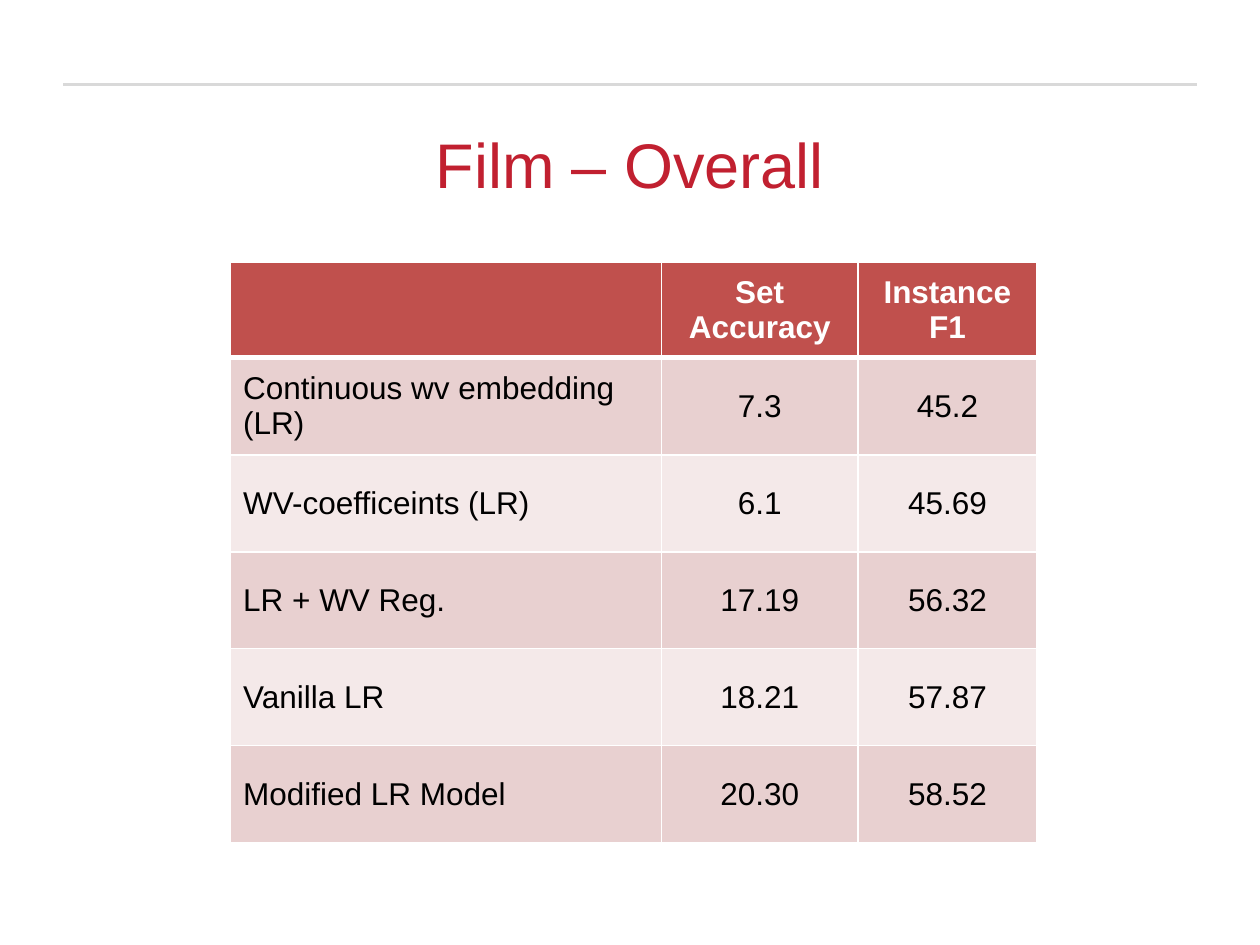
from typing import NamedTuple

from lxml.etree import SubElement
from pptx import Presentation
from pptx.dml.color import RGBColor
from pptx.enum.shapes import MSO_CONNECTOR
from pptx.enum.text import MSO_ANCHOR, PP_ALIGN
from pptx.oxml.ns import qn
from pptx.util import Inches, Pt

FONT = "Arial"
WHITE = RGBColor(0xFF, 0xFF, 0xFF)
BLACK = RGBColor(0x00, 0x00, 0x00)
RULE_GRAY = RGBColor(0xD9, 0xD9, 0xD9)
TITLE_RED = RGBColor(0xC1, 0x20, 0x30)
HEADER_RED = RGBColor(0xC0, 0x50, 0x4D)
BANDS = (RGBColor(0xE8, 0xD0, 0xD0), RGBColor(0xF4, 0xE9, 0xE9))


class Result(NamedTuple):
    model: str
    set_accuracy: str
    instance_f1: str


HEADER = Result("", "Set Accuracy", "Instance F1")
RESULTS = [
    Result("Continuous wv embedding (LR)", "7.3", "45.2"),
    Result("WV-coefficeints (LR)", "6.1", "45.69"),
    Result("LR + WV Reg.", "17.19", "56.32"),
    Result("Vanilla LR", "18.21", "57.87"),
    Result("Modified LR Model", "20.30", "58.52"),
]
COLUMN_WIDTHS = (3.42, 1.56, 1.42)
HEADER_HEIGHT = 0.76
ROW_HEIGHT = 0.77


def format_text(para, size: float, color: RGBColor, bold: bool = False) -> None:
    for span in para.runs:
        span.font.name = FONT
        span.font.size = Pt(size)
        span.font.bold = bold
        span.font.color.rgb = color


def set_borders(cell, bottom_width: float) -> None:
    """Draw white cell borders; they must come before the cell's fill."""
    properties = cell._tc.get_or_add_tcPr()
    for side in ("L", "R", "T", "B"):
        width = bottom_width if side == "B" else 1
        line = SubElement(properties, qn(f"a:ln{side}"), w=str(Pt(width)))
        fill = SubElement(line, qn("a:solidFill"))
        SubElement(fill, qn("a:srgbClr"), val=str(WHITE))


def fill_cell(cell, text: str, column: int, row: int) -> None:
    is_header = row == 0
    set_borders(cell, 3 if is_header else 1)
    cell.fill.solid()
    cell.fill.fore_color.rgb = HEADER_RED if is_header else BANDS[(row - 1) % 2]
    cell.vertical_anchor = MSO_ANCHOR.MIDDLE
    para = cell.text_frame.paragraphs[0]
    para.text = text
    para.alignment = PP_ALIGN.CENTER if column else PP_ALIGN.LEFT
    para.font.size = Pt(18)
    format_text(para, 18, WHITE if is_header else BLACK, bold=is_header)


def add_rule(page) -> None:
    rule = page.shapes.add_connector(
        MSO_CONNECTOR.STRAIGHT, Inches(0.5), Inches(0.67), Inches(9.5), Inches(0.67))
    rule.line.color.rgb = RULE_GRAY
    rule.line.width = Pt(2)
    SubElement(rule._element.spPr, qn("a:effectLst"))


def add_title(page, text: str) -> None:
    box = page.shapes.add_textbox(Inches(0.5), Inches(0.92), Inches(9), Inches(0.83))
    frame = box.text_frame
    frame.word_wrap = True
    frame.vertical_anchor = MSO_ANCHOR.MIDDLE
    para = frame.paragraphs[0]
    para.text = text
    para.alignment = PP_ALIGN.CENTER
    para.line_spacing = 0.9
    format_text(para, 36, TITLE_RED)


def add_results_table(page) -> None:
    rows = [HEADER, *RESULTS]
    height = HEADER_HEIGHT + ROW_HEIGHT * len(RESULTS)
    table = page.shapes.add_table(
        len(rows), len(COLUMN_WIDTHS), Inches(1.83), Inches(2.08),
        Inches(sum(COLUMN_WIDTHS)), Inches(height)).table
    for column, width in zip(table.columns, COLUMN_WIDTHS):
        column.width = Inches(width)
    for row, result in enumerate(rows):
        table.rows[row].height = Inches(ROW_HEIGHT if row else HEADER_HEIGHT)
        for column, text in enumerate(result):
            fill_cell(table.cell(row, column), text, column, row)


def main() -> None:
    deck = Presentation()
    deck.slide_width, deck.slide_height = Inches(10), Inches(7.5)
    page = deck.slides.add_slide(deck.slide_layouts[6])

    # Top rule, results table and title
    add_rule(page)
    add_results_table(page)
    add_title(page, "Film – Overall")

    deck.save("out.pptx")


if __name__ == "__main__":
    main()
